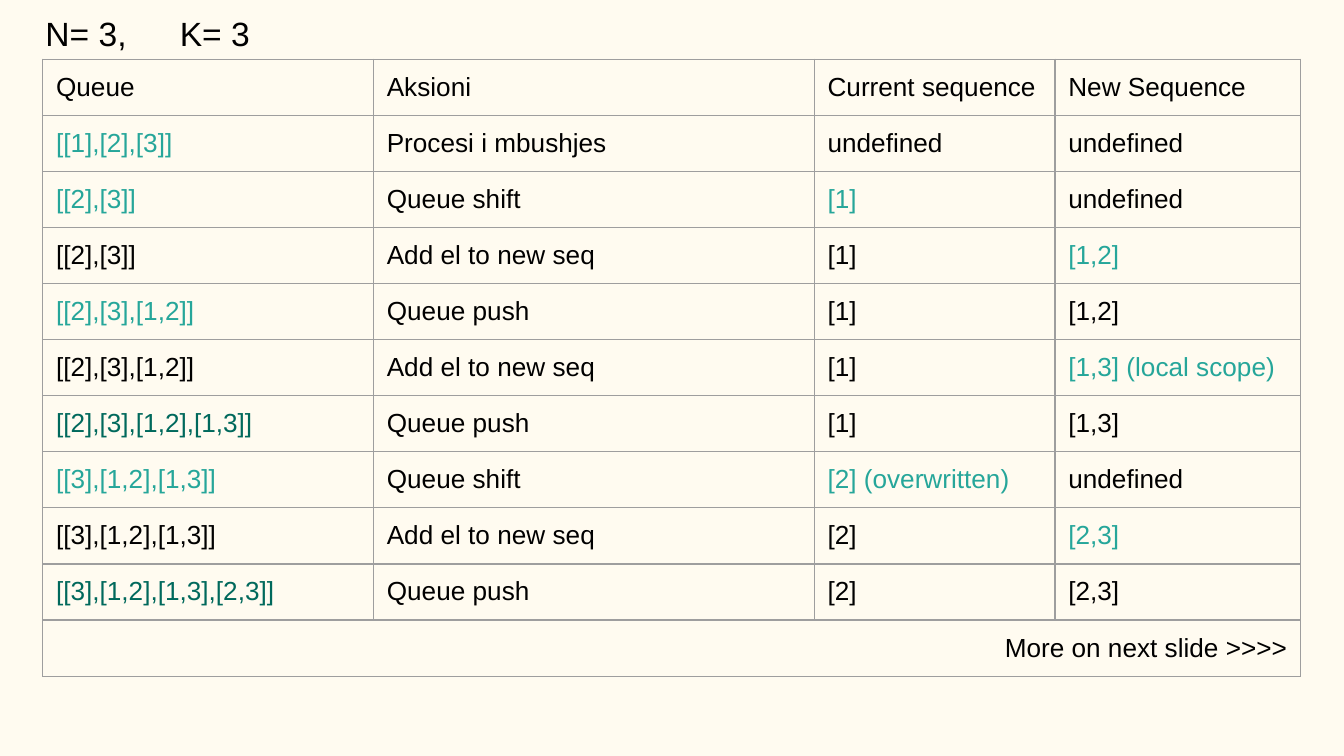
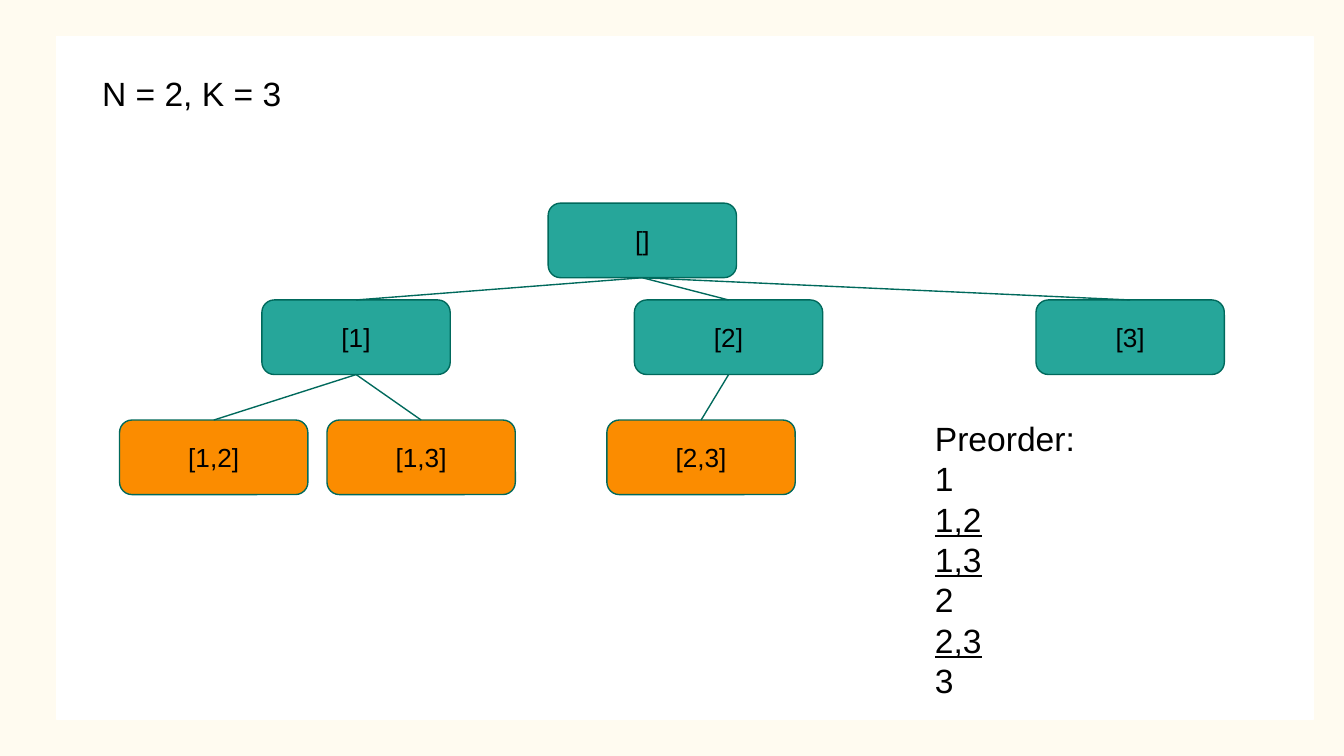
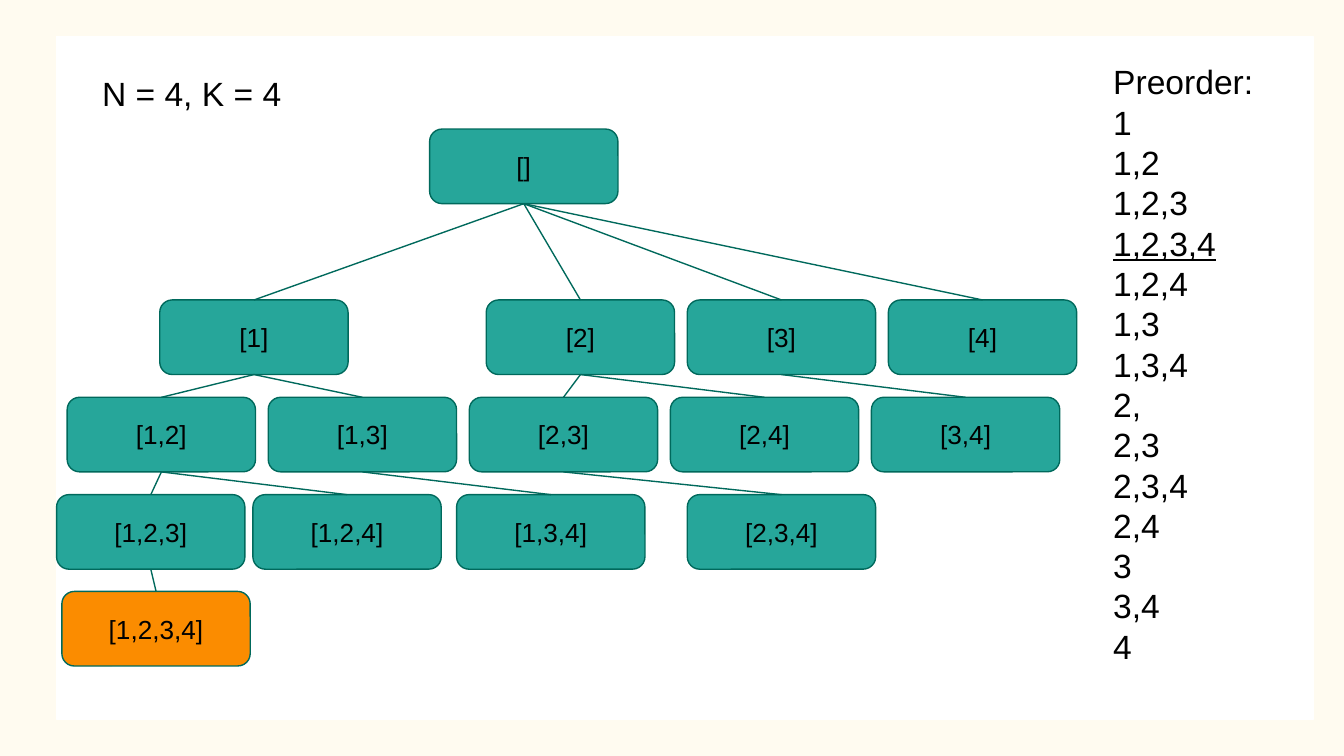
from lxml.etree import SubElement
from pptx import Presentation
from pptx.dml.color import RGBColor
from pptx.enum.shapes import MSO_CONNECTOR, MSO_SHAPE
from pptx.enum.text import MSO_ANCHOR, PP_ALIGN
from pptx.oxml.ns import qn
from pptx.util import Cm, Pt

COLORS = {
    "background": "FFFBF0",
    "panel": "FFFFFF",
    "text": "000000",
    "teal": "26A69A",
    "dark_teal": "00695C",
    "orange": "FB8C00",
    "border": "9E9E9E",
}
FONT = "Arial"
INSET = 0.25
LINE_WIDTH = Pt(0.75)
NODE_WIDTH, NODE_HEIGHT = 3.56, 1.41


def rgb(name):
    return RGBColor.from_string(COLORS[name])


def set_insets(owner):
    for side in ("left", "top", "right", "bottom"):
        setattr(owner, f"margin_{side}", Cm(INSET))


def write_text(text_frame, text, size=18, color="text", align=PP_ALIGN.LEFT, underlined=()):
    """Write one paragraph per line of text."""
    for index, line in enumerate(text.split("\n")):
        paragraph = text_frame.paragraphs[0] if index == 0 else text_frame.add_paragraph()
        paragraph.alignment = align
        run = paragraph.add_run()
        run.text = line
        run.font.name = FONT
        run.font.size = Pt(size)
        run.font.color.rgb = rgb(color)
        if line in underlined:
            run.font.underline = True


class Deck:
    def __init__(self):
        self.presentation = Presentation()
        self.presentation.slide_width = Cm(25.4)
        self.presentation.slide_height = Cm(14.29)
        self.slide = None

    def add_slide(self):
        self.slide = self.presentation.slides.add_slide(self.presentation.slide_layouts[6])
        fill = self.slide.background.fill
        fill.solid()
        fill.fore_color.rgb = rgb("background")

    def add_box(self, kind, left, top, width, height, fill, line):
        shape = self.slide.shapes.add_shape(kind, Cm(left), Cm(top), Cm(width), Cm(height))
        shape.shadow.inherit = False
        shape.fill.solid()
        shape.fill.fore_color.rgb = rgb(fill)
        shape.line.color.rgb = rgb(line)
        shape.line.width = LINE_WIDTH
        return shape

    def add_panel(self):
        self.add_box(MSO_SHAPE.RECTANGLE, 1.07, 0.69, 23.75, 12.9, "panel", "panel")

    def add_text(self, text, left, top, width, height, **text_format):
        text_frame = self.slide.shapes.add_textbox(
            Cm(left), Cm(top), Cm(width), Cm(height)).text_frame
        text_frame.word_wrap = True
        set_insets(text_frame)
        write_text(text_frame, text, **text_format)

    def add_node(self, label, left, top, fill):
        node = self.add_box(MSO_SHAPE.ROUNDED_RECTANGLE, left, top,
                            NODE_WIDTH, NODE_HEIGHT, fill, "dark_teal")
        node.text_frame.vertical_anchor = MSO_ANCHOR.MIDDLE
        set_insets(node.text_frame)
        write_text(node.text_frame, label, size=14, align=PP_ALIGN.CENTER)
        return node

    def add_edge(self, parent, child):
        edge = self.slide.shapes.add_connector(MSO_CONNECTOR.STRAIGHT, 0, 0, 0, 0)
        edge.begin_connect(parent, 2)
        edge.end_connect(child, 0)
        edge.line.color.rgb = rgb("dark_teal")
        edge.line.width = LINE_WIDTH
        SubElement(edge._element.spPr, qn("a:effectLst"))

    def add_tree(self, levels, depth):
        """Draw the levels; a node's parent is its sequence without the last item."""
        nodes = {}
        for top, row in levels:
            for sequence, left in row.items():
                is_result = len(sequence.split(",")) == depth
                nodes[sequence] = self.add_node(
                    f"[{sequence}]", left, top, "orange" if is_result else "teal")
        for sequence, node in nodes.items():
            if sequence:
                self.add_edge(nodes[sequence.rpartition(",")[0]], node)

    def style_cell(self, cell):
        set_insets(cell)
        properties = cell._tc.get_or_add_tcPr()
        for side in ("lnL", "lnR", "lnT", "lnB"):
            border = SubElement(properties, qn(f"a:{side}"), w=str(LINE_WIDTH))
            fill = SubElement(border, qn("a:solidFill"))
            SubElement(fill, qn("a:srgbClr"), val=COLORS["border"])
        cell.fill.background()

    def add_table(self, rows, highlights, footer, left, top, widths, row_height):
        table = self.slide.shapes.add_table(
            len(rows) + 1, len(widths), Cm(left), Cm(top),
            Cm(sum(widths)), Cm(row_height * (len(rows) + 1))).table
        table.first_row = table.horz_banding = False
        for column, width in zip(table.columns, widths):
            column.width = Cm(width)
        for row in table.rows:
            row.height = Cm(row_height)
        for cell in table.iter_cells():
            self.style_cell(cell)
        for row_index, row in enumerate(rows):
            for column_index, text in enumerate(row):
                color = highlights.get((row_index, column_index), "text")
                write_text(table.cell(row_index, column_index).text_frame, text,
                           size=14, color=color)
        # Footer across all columns
        footer_cell = table.cell(len(rows), 0)
        footer_cell.merge(table.cell(len(rows), len(widths) - 1))
        write_text(footer_cell.text_frame, footer, size=14, align=PP_ALIGN.RIGHT)


QUEUE_ROWS = [
    ("Queue", "Aksioni", "Current sequence", "New Sequence"),
    ("[[1],[2],[3]]", "Procesi i mbushjes", "undefined", "undefined"),
    ("[[2],[3]]", "Queue shift", "[1]", "undefined"),
    ("[[2],[3]]", "Add el to new seq", "[1]", "[1,2]"),
    ("[[2],[3],[1,2]]", "Queue push", "[1]", "[1,2]"),
    ("[[2],[3],[1,2]]", "Add el to new seq", "[1]", "[1,3] (local scope)"),
    ("[[2],[3],[1,2],[1,3]]", "Queue push", "[1]", "[1,3]"),
    ("[[3],[1,2],[1,3]]", "Queue shift", "[2] (overwritten)", "undefined"),
    ("[[3],[1,2],[1,3]]", "Add el to new seq", "[2]", "[2,3]"),
    ("[[3],[1,2],[1,3],[2,3]]", "Queue push", "[2]", "[2,3]"),
]
# Changed values, by (row, column)
QUEUE_HIGHLIGHTS = {
    **dict.fromkeys([(1, 0), (2, 0), (2, 2), (3, 3), (4, 0),
                     (5, 3), (7, 0), (7, 2), (8, 3)], "teal"),
    **dict.fromkeys([(6, 0), (9, 0)], "dark_teal"),
}

# Each level: top, then the left edge of every sequence
SMALL_TREE = [
    (3.84, {"": 10.36}),
    (5.67, {"1": 4.95, "2": 11.99, "3": 19.58}),
    (7.94, {"1,2": 2.26, "1,3": 6.18, "2,3": 11.47}),
]
STEP = 3.8
LARGE_TREE = [
    (2.44, {"": 8.12}),
    (5.67, {"1": 3.02, **{str(n): 9.19 + i * STEP for i, n in enumerate((2, 3, 4))}}),
    (7.51, {pair: 1.27 + i * STEP
            for i, pair in enumerate(("1,2", "1,3", "2,3", "2,4", "3,4"))}),
    (9.35, {"1,2,3": 1.07, "1,2,4": 4.78, "1,3,4": 8.63, "2,3,4": 12.99}),
    (11.18, {"1,2,3,4": 1.17}),
]


def main():
    deck = Deck()

    # Queue trace
    deck.add_slide()
    deck.add_table(QUEUE_ROWS, QUEUE_HIGHLIGHTS, "More on next slide >>>>",
                   0.81, 1.12, (6.25, 8.33, 4.55, 4.64), 1.06)
    deck.add_text("N= 3, \tK= 3", 0.61, 0, 11.07, 1.27)

    # Combination trees
    trees = [
        ("N = 2, K = 3", SMALL_TREE, 2, (17.42, 7.65, 6.81, 5.11),
         ["1", "1,2", "1,3", "2", "2,3", "3"]),
        ("N = 4, K = 4", LARGE_TREE, 4, (20.79, 0.91, 4.22, 12.42),
         ["1", "1,2", "1,2,3", "1,2,3,4", "1,2,4", "1,3", "1,3,4",
          "2,", "2,3", "2,3,4", "2,4", "3", "3,4", "4"]),
    ]
    for title, levels, depth, preorder_place, preorder in trees:
        deck.add_slide()
        deck.add_panel()
        deck.add_tree(levels, depth)
        deck.add_text(title, 1.68, 1.12, 11.07, 1.27)
        results = [entry for entry in preorder if len(entry.split(",")) == depth]
        deck.add_text("\n".join(["Preorder:", *preorder]), *preorder_place,
                      underlined=results)

    deck.presentation.save("out.pptx")


if __name__ == "__main__":
    main()
